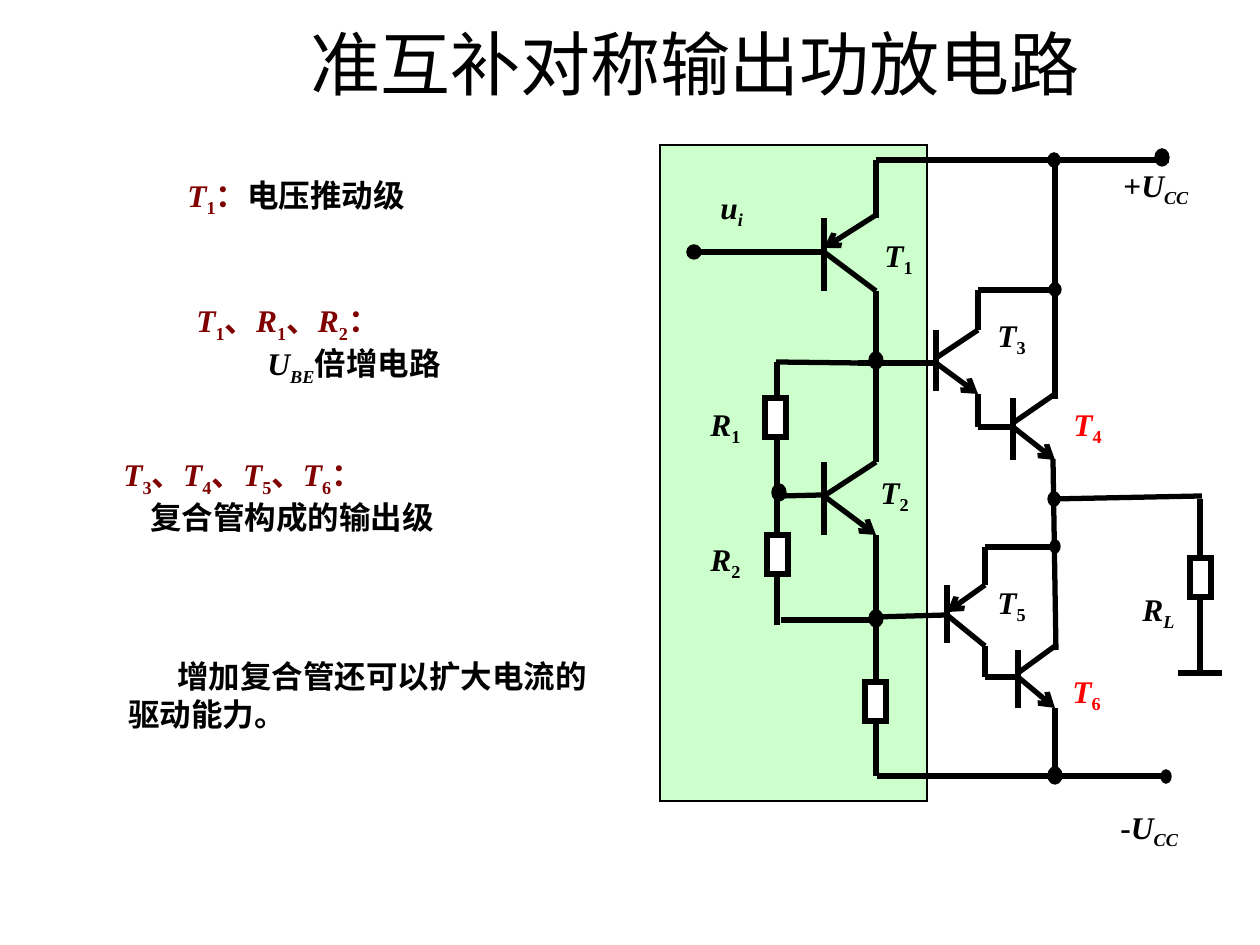
from pptx import Presentation
from pptx.dml.color import RGBColor
from pptx.enum.shapes import MSO_CONNECTOR as Link, MSO_SHAPE as Kind
from pptx.enum.text import MSO_ANCHOR as Anchor, PP_ALIGN as Align
from pptx.oxml.ns import qn
from pptx.util import Pt
from lxml.etree import SubElement as sub

SCALE = 914400 / 126
BLACK, MAROON, RED = "000000", "800000", "FF0000"
SERIF = "Times New Roman"

WIRES = [
    (1200, 499, 1200, 673), (1178, 673, 1222, 673), (1051, 499, 1202, 496),
    (876, 160, 1169, 160), (877, 776, 1163, 776), (689, 252, 824, 252),
    (876, 218, 876, 160), (876, 291, 876, 368), (876, 462, 876, 368),
    (876, 535, 876, 776), (777, 362, 777, 625), (776, 362, 858, 363),
    (858, 363, 936, 363), (782, 496, 822, 495), (781, 620, 876, 620),
    (876, 617, 947, 615), (1055, 160, 1055, 285), (1055, 399, 1055, 290),
    (978, 290, 1055, 290), (978, 290, 978, 330), (978, 394, 978, 427),
    (978, 427, 993, 427), (993, 427, 1013, 427), (1053, 459, 1056, 650),
    (985, 547, 1055, 547), (985, 547, 985, 585), (985, 646, 985, 677),
    (985, 677, 999, 677), (999, 677, 1018, 677), (1055, 708, 1055, 779),
]
PARTS = [
    (824, 876, 252, (218, 291), (215, 248, 291), True),
    (824, 876, 496, (462, 535), (462, 496, 535), False),
    (936, 978, 363, (330, 391), (330, 358, 394), False),
    (1013, 1055, 427, (398, 460), (394, 423, 460), False),
    (947, 985, 615, (585, 643), (585, 612, 646), True),
    (1018, 1055, 677, (650, 708), (646, 673, 708), False),
]
DOTS = [
    (1163, 772, 6, 9), (1050, 769, 10, 13), (1050, 155, 8, 10),
    (1051, 285, 8, 9), (1052, 542, 6, 9), (1050, 494, 8, 10),
    (871, 354, 10, 13), (774, 486, 10, 13), (871, 612, 10, 13),
    (1157, 151, 10, 13), (689, 247, 10, 10),
]
LOADS = [(765, 398), (767, 535), (865, 682), (1190, 558)]
TAGS = [
    ("R", "1", 698, 398, 55, BLACK), ("R", "2", 698, 533, 55, BLACK),
    ("T", "1", 872, 229, 53, BLACK), ("T", "2", 868, 466, 53, BLACK),
    ("T", "3", 985, 309, 53, BLACK), ("T", "4", 1061, 398, 53, RED),
    ("T", "5", 985, 576, 53, BLACK), ("T", "6", 1060, 665, 53, RED),
    ("R", "L", 1130, 583, 57, BLACK), ("u", "i", 708, 181, 48, BLACK),
]


def px(n):
    return round(n * SCALE)


def hue(code):
    return RGBColor.from_string(code)


def put(para, words, size=18, font=SERIF, color=BLACK, bold=True,
        slant=False, low=False):
    run = para.add_run()
    run.text = words
    face = run.font
    face.size, face.name, face.bold, face.italic = Pt(size), font, bold, slant
    face.color.rgb = hue(color)
    if low:
        run._r.get_or_add_rPr().set("baseline", "-25000")


def term(para, name, foot, color=BLACK):
    put(para, name, color=color, slant=True)
    put(para, foot, color=color, slant=foot.isalpha(), low=True)


def terms(para, names):
    for i, name in enumerate(names):
        if i:
            put(para, "、", color=MAROON)
        term(para, *name, color=MAROON)
    put(para, "：", color=MAROON)


def box(slide, x, y, w, h, insets, wrap=True):
    frame = slide.shapes.add_textbox(px(x), px(y), px(w), px(h)).text_frame
    frame.word_wrap = wrap
    frame.vertical_anchor = Anchor.MIDDLE
    if not wrap:
        frame.margin_right = 0
    paras = [frame.paragraphs[0]]
    paras += [frame.add_paragraph() for _ in insets[1:]]
    for para, (left, first) in zip(paras, insets):
        props = para._p.get_or_add_pPr()
        props.set("marL", str(px(left)))
        props.set("indent", str(px(first)))
    return paras


def label(slide, name, foot, x, y, w, color, sign=""):
    para, = box(slide, x, y, w, 56, [(0, 0)], wrap=False)
    para.alignment = Align.LEFT
    if sign:
        put(para, sign, color=color)
    term(para, name, foot, color)


def shape(slide, kind, x, y, w, h, fill, width=3):
    item = slide.shapes.add_shape(kind, px(x), px(y), px(w), px(h))
    item.shadow.inherit = False
    item.fill.solid()
    item.fill.fore_color.rgb = hue(fill)
    item.line.color.rgb = hue(BLACK)
    item.line.width = Pt(width)
    sub(item.line._get_or_add_ln(), qn("a:miter"), lim="800000")


def wire(slide, x1, y1, x2, y2, arrow=False):
    item = slide.shapes.add_connector(Link.STRAIGHT, px(x1), px(y1), px(x2), px(y2))
    item.line.color.rgb = hue(BLACK)
    item.line.width = Pt(3)
    if arrow:
        sub(item.line._get_or_add_ln(), qn("a:tailEnd"), type="arrow")
    sub(item._element.spPr, qn("a:effectLst"))


def valve(slide, base, side, mid, bar, legs, pnp):
    top, join, end = legs
    wire(slide, base, bar[0], base, bar[1])
    wire(slide, side, top, base, join, arrow=pnp)
    wire(slide, base, mid, side, end, arrow=not pnp)


def title(slide):
    head = slide.shapes.title
    head.left, head.top, head.width, head.height = px(158), 0, px(1074), px(126)
    head.text_frame.vertical_anchor = Anchor.MIDDLE
    para = head.text_frame.paragraphs[0]
    para.alignment = Align.CENTER
    for words, font in [("准互补", SERIF), ("对称", "Arial"), ("输出功放电路", SERIF)]:
        put(para, words, size=40, font=font, bold=False)


def notes(slide):
    line, = box(slide, 159, 169, 266, 56, [(16, 0)])
    terms(line, ["T1"])
    put(line, "电压推动级")

    top, line = box(slide, 169, 295, 292, 98, [(15, 0), (86, 0)])
    terms(top, ["T1", "R1", "R2"])
    term(line, "U", "BE")
    put(line, "倍增电路")

    top, line = box(slide, 96, 449, 576, 93, [(15, 0), (42, 0)])
    terms(top, ["T3", "T4", "T5", "T6"])
    put(line, "复合管构成的输出级")

    line, = box(slide, 116, 651, 508, 88, [(0, 49)])
    put(line, "增加复合管还可以扩大电流的驱动能力。")


def circuit(slide):
    for ends in WIRES:
        wire(slide, *ends)
    for part in PARTS:
        valve(slide, *part)
    for dot in DOTS:
        shape(slide, Kind.OVAL, *dot, BLACK)
    for x, y in LOADS:
        shape(slide, Kind.RECTANGLE, x, y, 21, 39, "FFFFFF")
    for tag in TAGS:
        label(slide, *tag)
    label(slide, "U", "CC", 1111, 159, 90, BLACK, sign="+")
    label(slide, "U", "CC", 1108, 801, 82, BLACK, sign="-")


def main():
    deck = Presentation()
    deck.slide_width, deck.slide_height = px(1260), px(945)
    slide = deck.slides.add_slide(deck.slide_layouts[5])
    shape(slide, Kind.RECTANGLE, 660, 145, 267, 656, "CCFFCC", width=0.75)
    title(slide)
    notes(slide)
    circuit(slide)
    deck.save("out.pptx")


if __name__ == "__main__":
    main()
